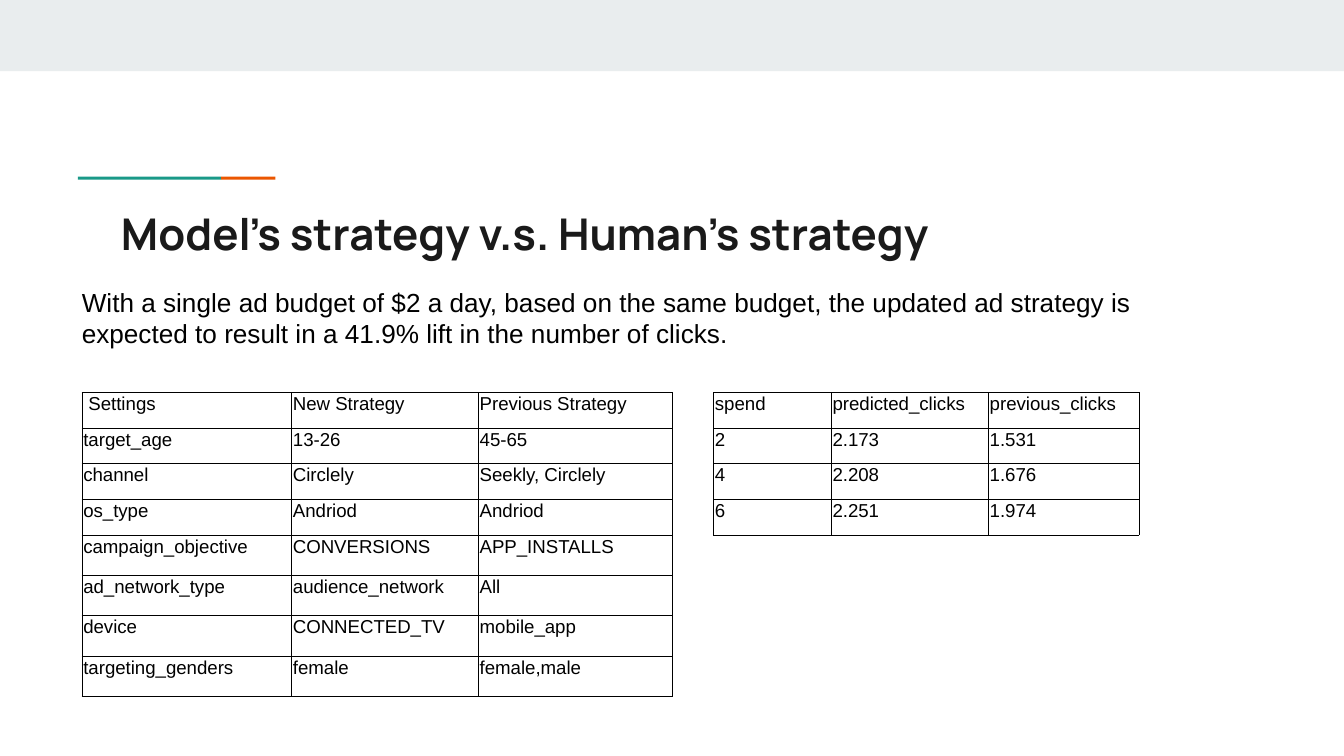
from pptx import Presentation
from pptx.dml.color import RGBColor
from pptx.enum.shapes import MSO_SHAPE
from pptx.enum.text import MSO_ANCHOR, MSO_AUTO_SIZE, PP_ALIGN
from pptx.oxml import parse_xml
from pptx.oxml.ns import nsdecls
from pptx.util import Inches, Pt

COLORS = {
    "band": "E9EDEE",
    "teal": "1A9988",
    "orange": "EB5600",
    "title": "1A1A1A",
    "text": "000000",
    "border": "000000",
}
UNIT = 0.1  # inches per grid column and row
COLUMNS, ROWS = 100, 56.25
TITLE_ONLY = 5


def grid(*cells):
    return [Inches(cell * UNIT) for cell in cells]


class SlideBuilder:
    """Holds the style and the current slide; lengths are grid columns and rows."""

    heading_font = "Manrope"
    body_font = "Arial"
    border_width = Pt(0.38)

    def __init__(self, deck):
        self.slide = deck.slides.add_slide(deck.slide_layouts[TITLE_ONLY])

    def style(self, frame, font, size, color, bold=False):
        for para in frame.paragraphs:
            para.alignment = PP_ALIGN.LEFT
            for span in para.runs:
                span.font.name = font
                span.font.size = Pt(size)
                span.font.bold = bold
                span.font.color.rgb = RGBColor.from_string(COLORS[color])

    def fill_frame(self, frame, text):
        frame.text = text
        frame.word_wrap = True
        frame.auto_size = MSO_AUTO_SIZE.NONE
        frame.vertical_anchor = MSO_ANCHOR.TOP
        frame.margin_left = frame.margin_right = Inches(0.1)
        frame.margin_top = frame.margin_bottom = Inches(0.1)

    def title(self, text, left, top, width, height):
        box = self.slide.shapes.title
        box.left, box.top, box.width, box.height = grid(left, top, width, height)
        self.fill_frame(box.text_frame, text)
        self.style(box.text_frame, self.heading_font, 23.4, "title", bold=True)

    def text(self, text, left, top, width, height):
        box = self.slide.shapes.add_textbox(*grid(left, top, width, height))
        self.fill_frame(box.text_frame, text)
        self.style(box.text_frame, self.body_font, 14, "text")

    def bar(self, color, left, top, width, height):
        shape = self.slide.shapes.add_shape(
            MSO_SHAPE.RECTANGLE, *grid(left, top, width, height))
        shape.shadow.inherit = False
        shape.fill.solid()
        shape.fill.fore_color.rgb = RGBColor.from_string(COLORS[color])
        shape.line.fill.background()

    def table(self, records, left, top, widths, heights):
        frame = self.slide.shapes.add_table(
            len(records), len(widths),
            *grid(left, top, sum(widths), sum(heights)))
        table = frame.table
        table.first_row = table.horz_banding = False
        for column, width in zip(table.columns, grid(*widths)):
            column.width = width
        for row, height, record in zip(table.rows, grid(*heights), records):
            row.height = height
            for cell, value in zip(row.cells, record):
                self.cell(cell, value)

    def cell(self, cell, value):
        cell.text = value
        cell.margin_left = cell.margin_right = cell.margin_top = Inches(0.01)
        cell.margin_bottom = Inches(0.1)
        self.style(cell.text_frame, self.body_font, 10, "text")
        properties = cell._tc.get_or_add_tcPr()
        for side in ("lnL", "lnR", "lnT", "lnB"):
            properties.append(parse_xml(
                f'<a:{side} {nsdecls("a")} w="{self.border_width}"><a:solidFill>'
                f'<a:srgbClr val="{COLORS["border"]}"/></a:solidFill></a:{side}>'))
        cell.fill.background()


def main():
    deck = Presentation()
    deck.slide_width, deck.slide_height = grid(COLUMNS, ROWS)
    builder = SlideBuilder(deck)

    # Top band and two-colour accent line
    builder.bar("band", 0, 0, COLUMNS, 5.3)
    builder.bar("teal", 5.8, 13.15, 10.65, 0.23)
    builder.bar("orange", 16.45, 13.15, 4.05, 0.23)

    # Title and summary
    builder.title("Model’s strategy v.s. Human’s strategy", 8, 14.4, 84.1, 5.9)
    builder.text(
        "With a single ad budget of $2 a day, based on the same budget, "
        "the updated ad strategy is expected to result in a 41.9% lift "
        "in the number of clicks.", 5.1, 20.3, 87.9, 6.7)

    # Strategy settings
    settings = [
        (" Settings", "New Strategy", "Previous Strategy"),
        ("target_age", "13-26", "45-65"),
        ("channel", "Circlely", "Seekly, Circlely"),
        ("os_type", "Andriod", "Andriod"),
        ("campaign_objective", "CONVERSIONS", "APP_INSTALLS"),
        ("ad_network_type", "audience_network", "All"),
        ("device", "CONNECTED_TV", "mobile_app"),
        ("targeting_genders", "female", "female,male"),
    ]
    builder.table(settings, 6.1, 29.2, [15.6, 13.9, 14.4], [2.6] * 4 + [3] * 4)

    # Clicks by spend
    clicks = [
        ("spend", "predicted_clicks", "previous_clicks"),
        ("2", "2.173", "1.531"),
        ("4", "2.208", "1.676"),
        ("6", "2.251", "1.974"),
    ]
    builder.table(clicks, 53.1, 29.2, [8.75, 11.7, 11.2], [2.6] * 4)

    deck.save("out.pptx")


if __name__ == "__main__":
    main()
